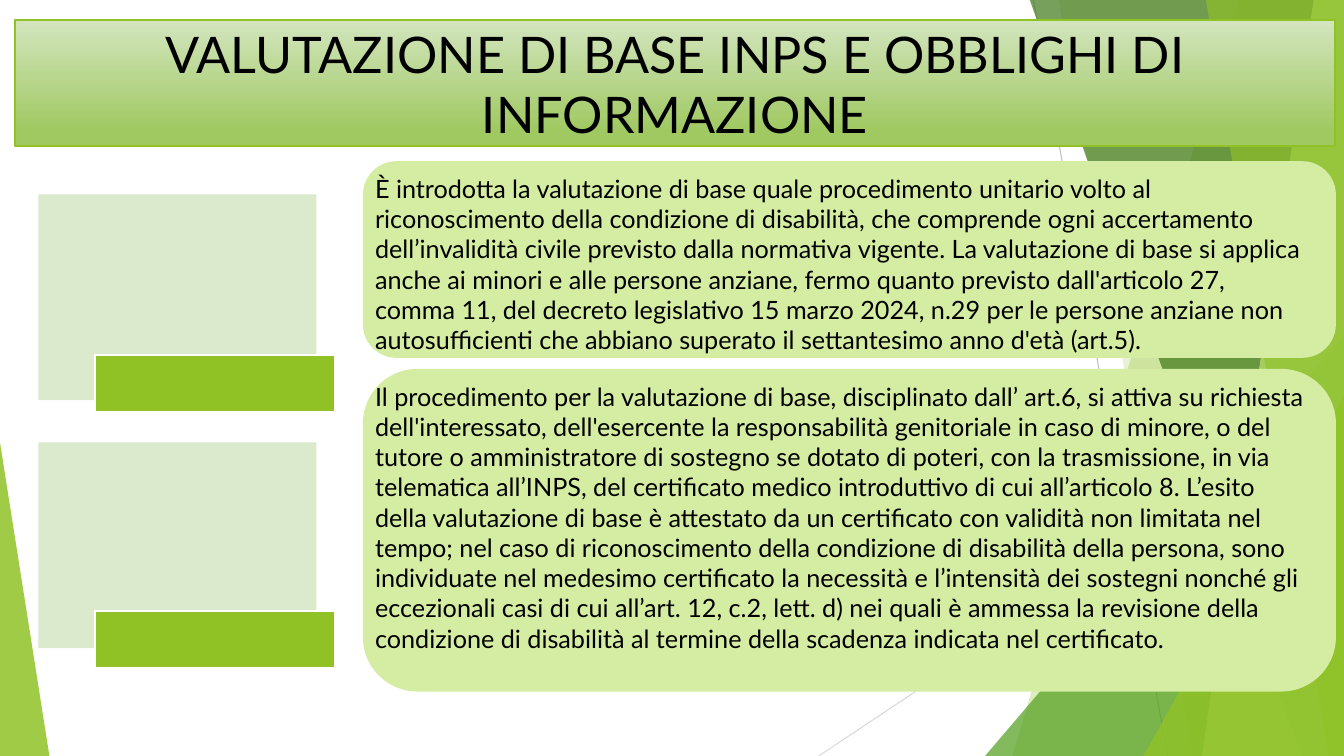
from lxml.etree import SubElement
from pptx import Presentation
from pptx.dml.color import RGBColor
from pptx.enum.shapes import MSO_CONNECTOR, MSO_SHAPE
from pptx.enum.text import MSO_ANCHOR, MSO_AUTO_SIZE, PP_ALIGN
from pptx.oxml.ns import qn
from pptx.util import Inches, Pt

WIDTH, HEIGHT = 13.33, 7.5
FONT = "Lato"
COLORS = {
    "green": "90C226", "leaf": "54A021", "dark": "3F7819", "lime": "C0E474",
    "panel": "D5EDA2", "pale": "DBE9CD", "top": "D3E5BE", "base": "A0C962",
    "gray": "BFBFBF", "silver": "D9D9D9", "white": "FFFFFF", "black": "000000",
}
TITLE = "VALUTAZIONE DI BASE INPS E OBBLIGHI DI INFORMAZIONE"
BASE = (
    "È introdotta la valutazione di base quale procedimento unitario volto al "
    "riconoscimento della condizione di disabilità, che comprende ogni accertamento "
    "dell’invalidità civile previsto dalla normativa vigente. La valutazione di base "
    "si applica anche ai minori e alle persone anziane, fermo quanto previsto "
    "dall'articolo 27, comma 11, del decreto legislativo 15 marzo 2024, n.29 per le "
    "persone anziane non autosufficienti che abbiano superato il settantesimo anno "
    "d'età (art.5)."
)
PROCESS = (
    "Il procedimento per la valutazione di base, disciplinato dall’ art.6, si attiva "
    "su richiesta dell'interessato, dell'esercente la responsabilità genitoriale in "
    "caso di minore, o del tutore o amministratore di sostegno se dotato di poteri, "
    "con la trasmissione, in via telematica all’INPS, del certificato medico "
    "introduttivo di cui all’articolo 8. L’esito della valutazione di base è attestato "
    "da un certificato con validità non limitata nel tempo; nel caso di riconoscimento "
    "della condizione di disabilità della persona, sono individuate nel medesimo "
    "certificato la necessità e l’intensità dei sostegni nonché gli eccezionali casi "
    "di cui all’art. 12, c.2, lett. d) nei quali è ammessa la revisione della "
    "condizione di disabilità al termine della scadenza indicata nel certificato."
)


def color(name):
    return RGBColor.from_string(COLORS[name])


def paint(shape, fill, line=None, weight=1.5, alpha=100):
    shape.shadow.inherit = False
    shape.fill.solid()
    shape.fill.fore_color.rgb = color(fill)
    if alpha < 100:
        tone = shape.fill._xPr.find(qn("a:solidFill"))[0]
        SubElement(tone, qn("a:alpha"), val=str(alpha * 1000))
    if line:
        shape.line.color.rgb = color(line)
        shape.line.width = Pt(weight)
    else:
        shape.line.fill.background()


def add_box(slide, kind, left, top, width, height):
    return slide.shapes.add_shape(
        kind, Inches(left), Inches(top), Inches(width), Inches(height))


def add_line(slide, start, end, tone):
    line = slide.shapes.add_connector(
        MSO_CONNECTOR.STRAIGHT, *map(Inches, start + end))
    line.line.color.rgb = color(tone)
    line.line.width = Pt(0.75)
    SubElement(line._element.spPr, qn("a:effectLst"))


def add_band(slide, top, foot, tone, alpha):
    """Fill from a slanted left edge to the right side of the slide."""
    pen = slide.shapes.build_freeform(Inches(top), Inches(-0.01))
    pen.add_line_segments(
        [(Inches(x), Inches(y)) for x, y in
         ((WIDTH, -0.01), (WIDTH, HEIGHT), (foot, HEIGHT))])
    paint(pen.convert_to_shape(), tone, alpha=alpha)


def add_wedge(slide, left, top, width, tip, tone, alpha):
    """Triangle on the bottom edge; tip 0 peaks at its left, 1 at its right."""
    wedge = add_box(slide, MSO_SHAPE.ISOSCELES_TRIANGLE,
                    left, top, width, HEIGHT - top)
    wedge.adjustments[0] = tip
    paint(wedge, tone, alpha=alpha)


def add_decor(slide):
    add_line(slide, (10.25, 0), (11.58, HEIGHT), "gray")
    add_line(slide, (WIDTH, 4.03), (8.12, HEIGHT), "silver")
    add_band(slide, 12.28, 10.04, "green", 30)
    add_band(slide, 10.5, 11.83, "green", 20)
    add_wedge(slide, 9.77, 3.33, 3.56, 1, "leaf", 72)
    add_band(slide, 10.21, 12.91, "dark", 70)
    add_band(slide, 13.03, 11.92, "lime", 70)
    add_band(slide, 11.96, 13.18, "green", 65)
    add_wedge(slide, 11.34, 3.93, 1.99, 1, "green", 80)
    add_wedge(slide, 0, 4.39, 0.49, 0, "green", 85)


def write(frame, text, size, align):
    frame.text = text
    frame.word_wrap = True
    frame.auto_size = MSO_AUTO_SIZE.NONE
    par = frame.paragraphs[0]
    par.alignment = align
    par.font.name = FONT
    par.font.size = Pt(size)
    par.font.color.rgb = color("black")


def add_title(slide, left, top, width, height):
    title = slide.shapes.title
    slide.shapes._spTree.append(title._element)  # bring in front of the decor
    title.left, title.top = Inches(left), Inches(top)
    title.width, title.height = Inches(width), Inches(height)
    title.fill.gradient()
    title.fill.gradient_angle = 270
    stops = title.fill.gradient_stops
    for stop, spot, tone in zip(stops, (0, 0.88), ("top", "base")):
        stop.position = spot
        stop.color.rgb = color(tone)
    title.line.color.rgb = color("green")
    title.line.width = Pt(1)
    write(title.text_frame, TITLE, 36, PP_ALIGN.CENTER)
    title.text_frame.vertical_anchor = MSO_ANCHOR.MIDDLE


def add_panel(slide, left, top, width, height, text):
    panel = add_box(slide, MSO_SHAPE.ROUNDED_RECTANGLE, left, top, width, height)
    panel.adjustments[0] = 0.167
    paint(panel, "panel", "panel")
    body = slide.shapes.add_textbox(
        Inches(left), Inches(top), Inches(width - 0.12), Inches(height * 0.9))
    frame = body.text_frame
    write(frame, text, 18, PP_ALIGN.LEFT)
    frame.vertical_anchor = MSO_ANCHOR.TOP
    frame.margin_left = frame.margin_right = Inches(0.11)
    frame.margin_top = frame.margin_bottom = Inches(0.11)


def add_card(slide, left, top, drop):
    """Pale card with a green label, drop inches below the card's top."""
    paint(add_box(slide, MSO_SHAPE.RECTANGLE, left, top, 2.76, 2.04), "pale")
    label = add_box(slide, MSO_SHAPE.RECTANGLE,
                    left + 0.56, top + drop, 2.38, 0.57)
    paint(label, "green", "white")


def main():
    deck = Presentation()
    deck.slide_width, deck.slide_height = Inches(WIDTH), Inches(HEIGHT)
    slide = deck.slides.add_slide(deck.slide_layouts.get_by_name("Title Only"))
    slide.background.fill.solid()
    slide.background.fill.fore_color.rgb = color("white")
    add_decor(slide)
    add_title(slide, 0.15, 0.2, 13.09, 1.25)
    add_panel(slide, 3.61, 1.61, 9.63, 1.93, BASE)
    add_panel(slide, 3.61, 3.67, 9.63, 3.18, PROCESS)
    add_card(slide, 0.38, 1.93, 1.59)
    add_card(slide, 0.38, 4.39, 1.67)
    deck.save("out.pptx")


if __name__ == "__main__":
    main()
